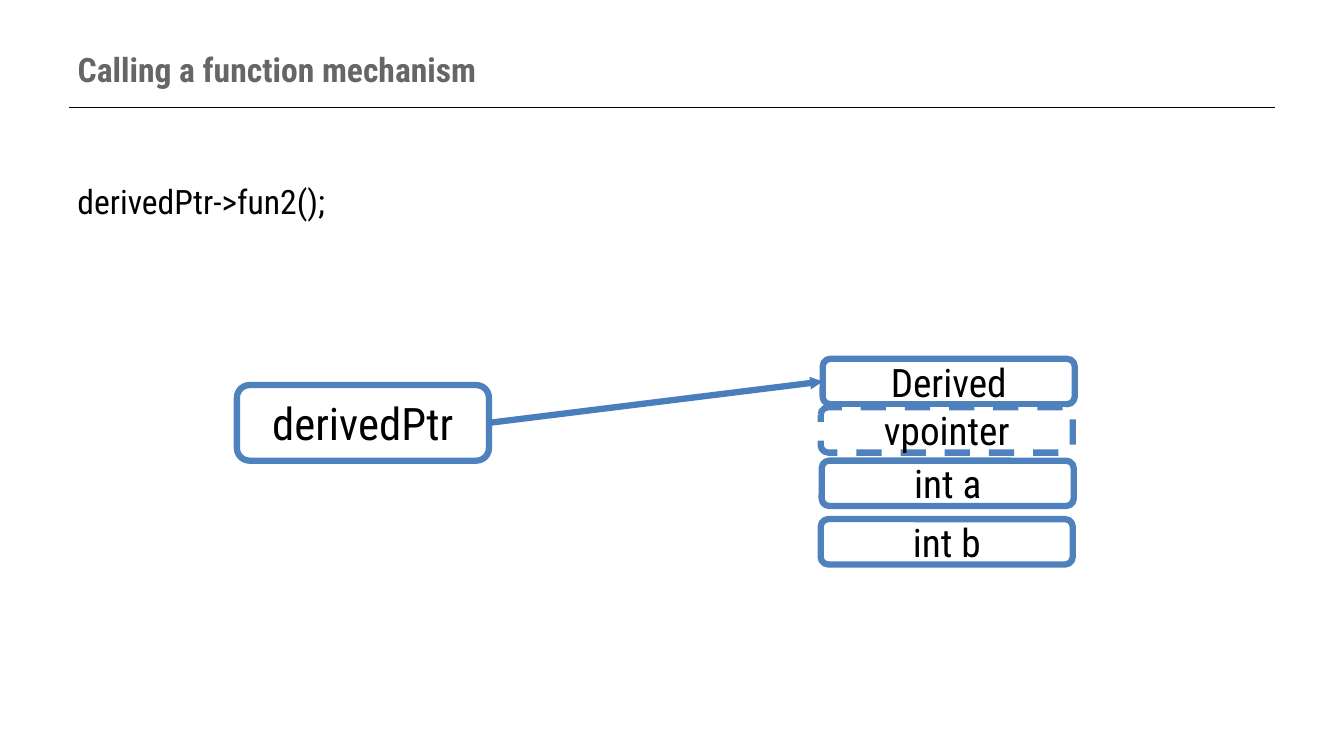
from dataclasses import dataclass

from lxml import etree
from pptx import Presentation
from pptx.dml.color import RGBColor
from pptx.enum.dml import MSO_LINE
from pptx.enum.shapes import MSO_CONNECTOR, MSO_SHAPE
from pptx.enum.text import MSO_ANCHOR, PP_ALIGN
from pptx.oxml.ns import qn
from pptx.util import Inches, Pt


@dataclass(frozen=True)
class Theme:
    font: str = "Roboto Condensed"
    text: RGBColor = RGBColor(0x00, 0x00, 0x00)
    title: RGBColor = RGBColor(0x66, 0x66, 0x66)
    fill: RGBColor = RGBColor(0xFF, 0xFF, 0xFF)
    border: RGBColor = RGBColor(0x4F, 0x81, 0xBD)
    arrow: RGBColor = RGBColor(0x4A, 0x7D, 0xBB)
    body_size: Pt = Pt(24)
    member_size: Pt = Pt(28)
    pointer_size: Pt = Pt(32)
    rule_width: Pt = Pt(0.75)
    box_width: Pt = Pt(4.5)


THEME = Theme()
# Left, top and text; the dashed vpointer comes last so it lies on top.
MEMBERS = [(8.15, 4.57, "int a"), (8.14, 5.15, "int b")]
VPOINTER = (8.14, 4.04, "vpointer")


def write_text(sp, text, size, align=PP_ALIGN.LEFT, anchor=MSO_ANCHOR.TOP,
               color=THEME.text, bold=False):
    tf = sp.text_frame
    tf.word_wrap = True
    tf.vertical_anchor = anchor
    p = tf.paragraphs[0]
    p.alignment = align
    r = p.add_run()
    r.text = text
    font_format = {"name": THEME.font, "size": size, "bold": bold}
    for name, value in font_format.items():
        setattr(r.font, name, value)
    r.font.color.rgb = color


def place_title(s, text):
    title = s.shapes.title
    position = {"left": 0.67, "top": 0.3, "width": 12, "height": 0.77}
    for name, value in position.items():
        setattr(title, name, Inches(value))
    write_text(title, text, THEME.body_size, anchor=MSO_ANCHOR.MIDDLE,
               color=THEME.title, bold=True)


def add_body(s, text):
    sp = s.shapes.add_textbox(Inches(0.67), Inches(1.75), Inches(12), Inches(4.95))
    write_text(sp, text, THEME.body_size)


def add_box(s, left, top, text, height=0.45, size=THEME.member_size, dash=None):
    sp = s.shapes.add_shape(MSO_SHAPE.ROUNDED_RECTANGLE, Inches(left), Inches(top),
                            Inches(2.5), Inches(height))
    sp.shadow.inherit = False
    sp.fill.solid()
    sp.fill.fore_color.rgb = THEME.fill
    sp.line.color.rgb = THEME.border
    sp.line.width = THEME.box_width
    if dash:
        sp.line.dash_style = dash
    write_text(sp, text, size, PP_ALIGN.CENTER, MSO_ANCHOR.MIDDLE)
    return sp


def add_line(s, start, end, color, width):
    line = s.shapes.add_connector(MSO_CONNECTOR.STRAIGHT,
                                  *map(Inches, start + end))
    line.line.color.rgb = color
    line.line.width = width
    etree.SubElement(line._element.spPr, qn("a:effectLst"))
    return line


def add_arrow(s, source, target):
    """Join the right side of source to the left side of target."""
    arrow = add_line(s, (4.85, 4.21), (8.16, 3.8), THEME.arrow, THEME.box_width)
    arrow.begin_connect(source, 3)
    arrow.end_connect(target, 1)
    ln = arrow.line._get_or_add_ln()
    etree.SubElement(ln, qn("a:tailEnd"), type="triangle", w="sm", len="sm")


def main():
    prs = Presentation()
    prs.slide_width, prs.slide_height = Inches(13.33), Inches(7.5)
    s = prs.slides.add_slide(prs.slide_layouts[5])

    add_line(s, (0.68, 1.07), (12.65, 1.07), THEME.text, THEME.rule_width)
    place_title(s, "Calling a function mechanism")
    add_body(s, "derivedPtr->fun2();")

    pointer = add_box(s, 2.35, 3.82, "derivedPtr", 0.75, THEME.pointer_size)
    derived = add_box(s, 8.16, 3.56, "Derived")
    for left, top, text in MEMBERS:
        add_box(s, left, top, text)
    add_arrow(s, pointer, derived)
    add_box(s, *VPOINTER, dash=MSO_LINE.DASH)

    prs.save("out.pptx")


if __name__ == "__main__":
    main()
